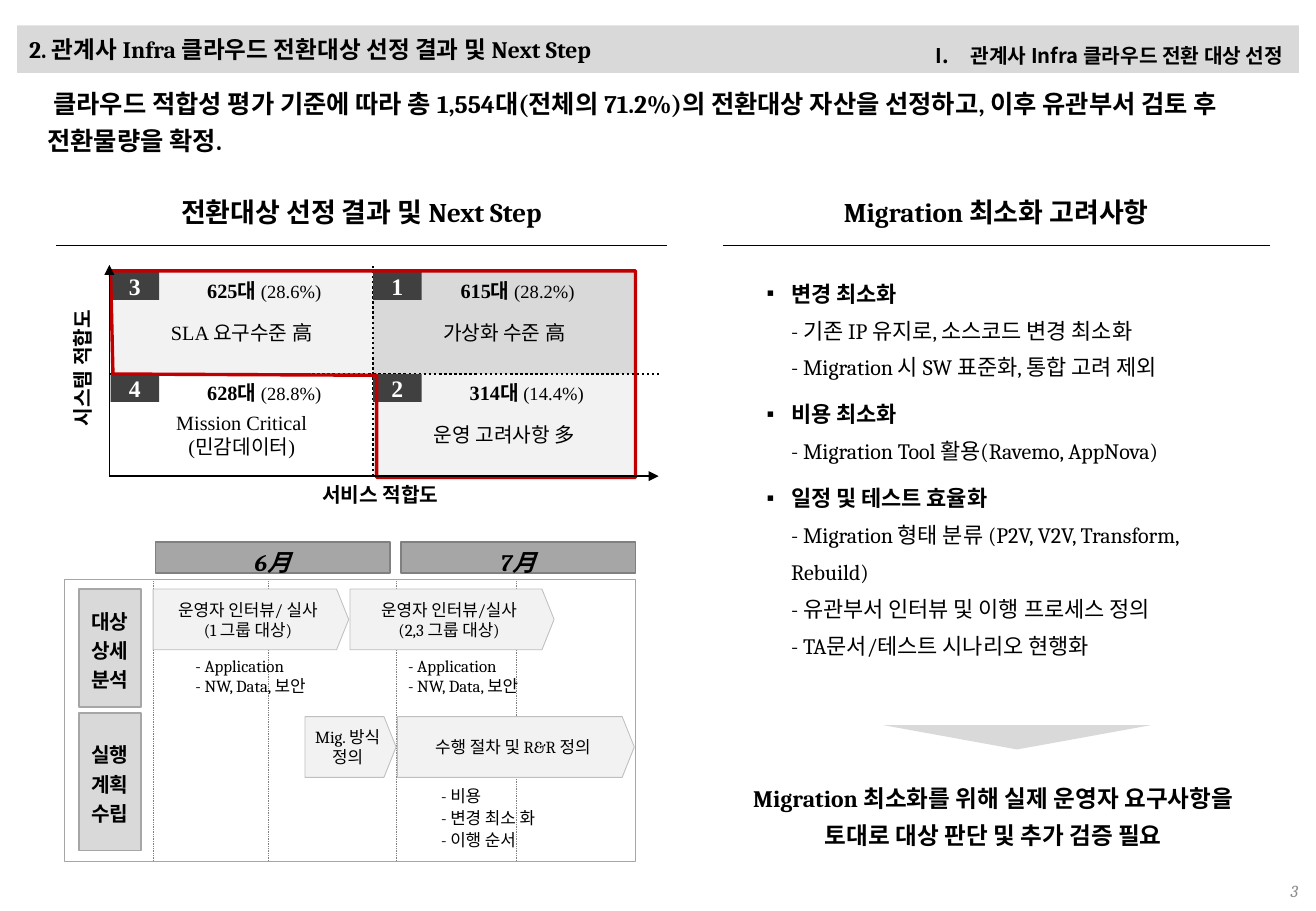
from dataclasses import dataclass

from lxml import etree
from pptx import Presentation
from pptx.dml.color import RGBColor
from pptx.enum.dml import MSO_LINE
from pptx.enum.shapes import MSO_CONNECTOR, MSO_SHAPE
from pptx.enum.text import MSO_ANCHOR, MSO_AUTO_SIZE, PP_ALIGN
from pptx.oxml.ns import qn
from pptx.util import Inches, Pt

LEFT, CENTER, RIGHT = PP_ALIGN.LEFT, PP_ALIGN.CENTER, PP_ALIGN.RIGHT
TOP, MIDDLE, BOTTOM = MSO_ANCHOR.TOP, MSO_ANCHOR.MIDDLE, MSO_ANCHOR.BOTTOM
RECT, PLATE, TRIANGLE = MSO_SHAPE.RECTANGLE, MSO_SHAPE.PENTAGON, MSO_SHAPE.ISOSCELES_TRIANGLE
DOTTED, STRAIGHT = MSO_LINE.ROUND_DOT, MSO_CONNECTOR.STRAIGHT


@dataclass(frozen=True)
class Theme:
    serif: str = "Cambria"
    matrix: str = "Times New Roman"
    sans: str = "Noto Sans CJK KR"
    ink: str = "000000"
    white: str = "FFFFFF"
    pale: str = "F2F2F2"
    band: str = "D9D9D9"
    edge: str = "BFBFBF"
    month: str = "A6A6A6"
    grid: str = "808080"
    page: str = "8C8C8C"
    badge: str = "404040"
    accent: str = "C00000"
    heading: int = 16
    message: int = 15
    title: int = 14
    bullet: int = 13
    label: int = 12
    share: int = 11
    small: int = 10


def cells(count):
    return Inches(count / 10)


class SlideBuilder:
    def __init__(self, slide, theme):
        self.slide, self.theme = slide, theme

    def put_text(self, shape, paragraphs, size, font=None, color=None, bold=False, italic=False,
                 align=CENTER, anchor=MIDDLE, inset=(1, 0.5, 1, 0.5), spacing=1.0, before=0,
                 wrap=True):
        frame = shape.text_frame
        frame.auto_size = MSO_AUTO_SIZE.NONE
        frame.word_wrap, frame.vertical_anchor = wrap, anchor
        (frame.margin_left, frame.margin_top,
         frame.margin_right, frame.margin_bottom) = map(cells, inset)
        for index, content in enumerate(paragraphs):
            paragraph = frame.add_paragraph() if index else frame.paragraphs[0]
            paragraph.alignment, paragraph.line_spacing = align, spacing
            paragraph.space_before = Pt(before)
            style = paragraph.font
            style.name, style.size = font or self.theme.serif, Pt(size)
            style.color.rgb = RGBColor.from_string(color or self.theme.ink)
            style.italic = italic
            if isinstance(content, str):
                style.bold = bold
                paragraph.text = content
                continue
            for line, run_bold, run_size in content:
                if line.startswith("\v"):
                    paragraph.add_line_break()
                run = paragraph.add_run()
                run.text = line.lstrip("\v")
                run.font.bold, run.font.size = run_bold, Pt(run_size)
        return shape

    def indent(self, shape, margin, first, marker=None, value=None):
        for paragraph in shape.text_frame.paragraphs:
            properties = paragraph._p.get_or_add_pPr()
            properties.set("marL", str(cells(margin)))
            properties.set("indent", str(cells(first)))
            if marker:
                bullet = etree.Element(qn(marker[0]), {marker[1]: value})
                properties.find(qn("a:defRPr")).addprevious(bullet)

    def placeholder(self, index, box):
        holder = self.slide.placeholders[index]
        holder.left, holder.top, holder.width, holder.height = map(cells, box)
        return holder

    def text(self, box, paragraphs, size, **style):
        return self.put_text(self.slide.shapes.add_textbox(*map(cells, box)), paragraphs, size, **style)

    def paint(self, shape, fill=None, edge=None, weight=0.5):
        shape.shadow.inherit = False
        if fill:
            shape.fill.solid()
            shape.fill.fore_color.rgb = RGBColor.from_string(fill)
        else:
            shape.fill.background()
        if edge:
            shape.line.color.rgb = RGBColor.from_string(edge)
            shape.line.width = Pt(weight)
        else:
            shape.line.fill.background()
        return shape

    def shape(self, box, fill=None, edge=None, weight=0.5, kind=RECT, point=None):
        shape = self.slide.shapes.add_shape(kind, *map(cells, box))
        if point is not None:
            shape.adjustments[0] = point
        return self.paint(shape, fill, edge, weight)

    def plate(self, box, paragraphs, size, fill, edge, weight=0.5, point=0.2, **style):
        plate = self.shape(box, fill, edge, weight, PLATE, point)
        return self.put_text(plate, paragraphs, size, inset=(0, 0.5, 0, 0.5), **style)

    def line(self, start, end, weight=0.75, color=None, dash=None, arrow=False):
        line = self.slide.shapes.add_connector(STRAIGHT, *map(cells, start + end))
        line.line.color.rgb = RGBColor.from_string(color or self.theme.ink)
        line.line.width = Pt(weight)
        if dash:
            line.line.dash_style = dash
        if arrow:
            etree.SubElement(line.get_or_add_ln(), qn("a:tailEnd"), type="triangle")
        etree.SubElement(line._element.spPr, qn("a:effectLst"))

    def outline(self, points, color, weight):
        corners = [tuple(map(cells, point)) for point in points]
        builder = self.slide.shapes.build_freeform(*corners[0])
        builder.add_line_segments(corners[1:], close=True)
        self.paint(builder.convert_to_shape(), None, color, weight)


theme = Theme()
deck = Presentation()
deck.slide_width, deck.slide_height = cells(108.3), cells(75)
page = SlideBuilder(deck.slides.add_slide(deck.slide_layouts[1]), theme)

title = page.paint(page.placeholder(0, (1.4, 2.1, 105.5, 3.9)), theme.band)
page.put_text(title, ["2. 관계사 Infra 클라우드 전환대상 선정 결과 및 Next Step"], theme.title,
              bold=True, align=LEFT)
chapter = page.text((72.6, 2.1, 34, 3.6), ["관계사 Infra 클라우드 전환 대상 선정"], theme.label,
                    font=theme.sans, bold=True, align=RIGHT, anchor=TOP, spacing=1.5, wrap=False)
page.indent(chapter, 2.9, -2.9, ("a:buAutoNum", "type"), "romanUcPeriod")
message = page.text((3.1, 6, 102.3, 8.1), [
    "클라우드 적합성 평가 기준에 따라 총 1,554대(전체의 71.2%)의 전환대상 자산을 선정하고, "
    "이후 유관부서 검토 후 전환물량을 확정."], theme.message, bold=True, align=LEFT, anchor=TOP,
    inset=(0.8,) * 4, spacing=1.2)
page.indent(message, 0, 0.5)

for left, width, heading in ((4.6, 50.3, "전환대상 선정 결과 및 Next Step"),
                             (59.5, 45, "Migration 최소화 고려사항")):
    page.text((left, 14.7, width, 5.5), [heading], theme.heading, bold=True, inset=(0, 0.5, 0, 0.5))
    page.line((left, 20.2), (left + width, 20.2))

matrix_left, matrix_top, quad_width, quad_height = 9.1, 22.4, 21.6, 8.4
middle_x, middle_y = matrix_left + quad_width, matrix_top + quad_height
right_x, bottom_y = middle_x + quad_width, middle_y + quad_height
quadrants = (
    (0, 0, "3", "625대 ", "(28.6%)", "SLA 요구수준 高", theme.pale, 12.65),
    (1, 0, "1", "615대 ", "(28.2%)", "가상화 수준 高", theme.band, 11.9),
    (0, 1, "4", "628대 ", "(28.8%)", "Mission Critical\v(민감데이터)", None, 12.65),
    (1, 1, "2", "314대 ", "(14.4%)", "운영 고려사항 多", theme.pale, 12.65),
)
for column, row, _, _, _, criterion, fill, _ in quadrants:
    quadrant = page.shape((matrix_left + column * quad_width, matrix_top + row * quad_height,
                           quad_width, quad_height), fill)
    page.put_text(quadrant, [criterion], theme.label, font=theme.matrix, inset=(1, 2, 1, 0.5))
page.line((9, middle_y), (54.2, middle_y), 1.5, dash=DOTTED)
page.line((middle_x, bottom_y), (middle_x, 21.8), 1.5, dash=DOTTED)
for column, row, rank, count, share, _, _, center in quadrants:
    left, top = matrix_left + column * quad_width, matrix_top + row * quad_height
    page.put_text(page.shape((left, top, 4, 2.3), theme.badge), [rank], theme.title,
                  font=theme.matrix, color=theme.white, bold=True)
    page.text((left + center - 8.75, top, 17.5, 2.2),
              [[(count, True, theme.label), (share, False, theme.share)]], theme.label,
              font=theme.matrix, anchor=TOP)
page.outline(((matrix_left, 22.3), (right_x, 22.3), (right_x, 39.3), (31, 39.3),
              (31, 30.9), (9.3, middle_y)), theme.accent, 2)
for tip in ((54.2, bottom_y), (9, 21.8)):
    page.line((9, bottom_y), tip, arrow=True)
page.text((14.9, bottom_y, 32.8, 2.2), ["서비스 적합도"], theme.label, font=theme.matrix,
          bold=True, anchor=TOP)
system_axis = page.text((-2, 28.4, 16.8, 3.8), ["시스템 적합도"], theme.label, font=theme.matrix,
                        bold=True, anchor=BOTTOM)
system_axis.rotation = 270

plan_top, plan_bottom = 47.7, 70.9
for week in (12.6, 22.1, 32.6, 42.5):
    page.line((week, plan_top), (week, plan_bottom), 0.5, theme.grid, DOTTED)
page.shape((5.3, plan_top, 47, plan_bottom - plan_top), edge=theme.month)
for left, month in ((12.8, "6月"), (33, "7月")):
    page.plate((left, 44.6, 19.3, 2.6), [month], theme.title, theme.month, theme.grid, 1, 0,
               bold=True, italic=True, spacing=1.3)
for top, height, phase in ((48.5, 9.7, "대상 상세 분석"), (58.7, 11.3, "실행 계획 수립")):
    page.plate((6.5, top, 5.1, height), [phase], theme.label, theme.band, theme.month, 0.75, 0,
               bold=True, spacing=1.2)
for left, top, width, task in (
        (12.6, 48.5, 16.1, ["운영자 인터뷰/ 실사", "(1 그룹 대상)"]),
        (28.8, 48.5, 16.8, ["운영자 인터뷰/실사", "(2,3 그룹 대상)"]),
        (25.1, 59, 7.5, ["Mig. 방식 정의"]),
        (32.7, 59, 19.5, ["수행 절차 및 R&R 정의"])):
    page.plate((left, top, width, 5), task, theme.small, theme.pale, theme.edge)
for left in (15.1, 32.6):
    page.text((left, 53.5, 11.4, 4.4), ["- Application", "- NW, Data, 보안"], theme.small,
              align=LEFT, anchor=TOP, wrap=False)
page.text((35.5, 64, 10.3, 6.6), ["- 비용\v- 변경 최소 화\v- 이행 순서"], theme.small,
          align=LEFT, anchor=TOP, inset=(0.8, 0.5, 0, 0.5), spacing=1.1, before=3)

considerations = (
    ("변경 최소화", "- 기존 IP 유지로, 소스코드 변경 최소화",
     "- Migration 시 SW 표준화, 통합 고려 제외"),
    ("비용 최소화", "- Migration Tool 활용(Ravemo, AppNova)"),
    ("일정 및 테스트 효율화", "- Migration 형태 분류 (P2V, V2V, Transform, Rebuild)",
     "- 유관부서 인터뷰 및 이행 프로세스 정의", "- TA문서/테스트 시나리오 현행화"),
)
checklist = page.placeholder(1, (62.1, 21.7, 40.2, 36.4))
page.put_text(checklist, [[(topic, True, theme.bullet)]
                          + [("\v" + detail, False, theme.bullet) for detail in details]
                          for topic, *details in considerations],
              theme.bullet, align=LEFT, anchor=TOP, spacing=1.4, before=6)
page.indent(checklist, 2, -2, ("a:buChar", "char"), "▪")
page.shape((72.7, 59.7, 22, 2), theme.band, kind=TRIANGLE).rotation = 180
page.text((59.3, 62.2, 44.9, 9.4),
          ["Migration 최소화를 위해 실제 운영자 요구사항을 토대로 대상 판단 및 추가 검증 필요"],
          theme.title, bold=True, spacing=1.3)
page.text((82.5, 72.1, 25.3, 2.4), ["3"], theme.small, color=theme.page, italic=True, align=RIGHT)

deck.save("out.pptx")
